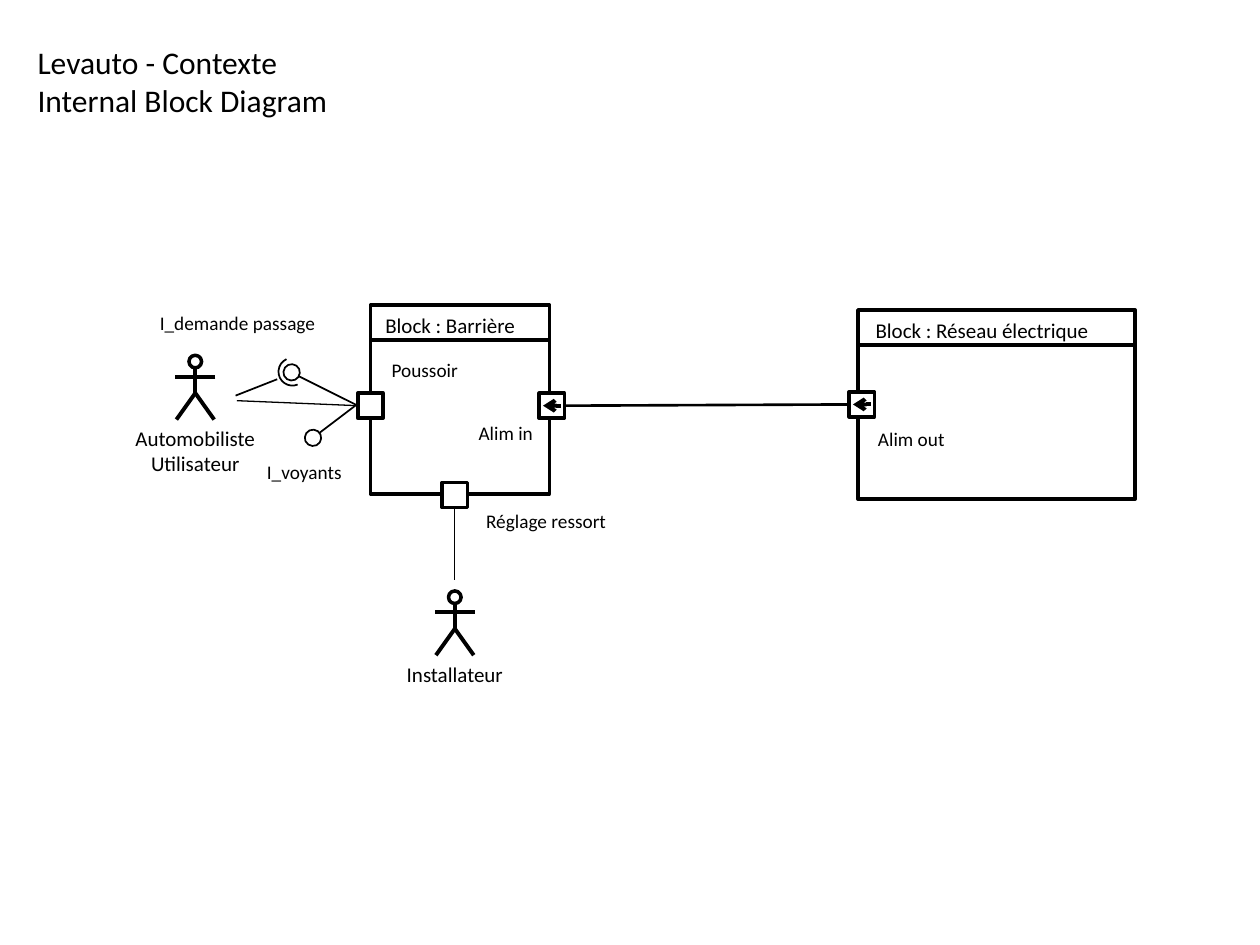
import pptx
import pptx.dml.color
import pptx.enum.shapes
import pptx.enum.text
import pptx.oxml
import pptx.oxml.ns
import pptx.util

Inches = pptx.util.Inches
Pt = pptx.util.Pt
Kind = pptx.enum.shapes.MSO_SHAPE
Align = pptx.enum.text.PP_ALIGN


def colour(value):
    """Turn a hex string into a colour."""
    return pptx.dml.color.RGBColor.from_string(value)


class Diagram:
    """Draws the parts of an internal block diagram on one slide."""

    font = "Calibri"
    ink = "000000"
    paper = "FFFFFF"

    def __init__(self, slide):
        """Keep the slide to draw on."""
        self.shapes = slide.shapes

    def shape(self, kind, left, top, width, height, weight=2, fill=None):
        """Add an outlined preset shape."""
        outline = self.shapes.add_shape(
            kind, Inches(left), Inches(top), Inches(width), Inches(height))
        outline.shadow.inherit = False
        if fill:
            outline.fill.solid()
            outline.fill.fore_color.rgb = colour(fill)
        else:
            outline.fill.background()
        outline.line.color.rgb = colour(self.ink)
        outline.line.width = Pt(weight)
        return outline

    def arc(self, left, top, size, angles, rotation, flip, fill=None):
        """Add a rotated and mirrored arc."""
        curve = self.shape(Kind.ARC, left, top, size, size, 1, fill)
        curve.adjustments[0], curve.adjustments[1] = angles
        curve.rotation = rotation
        curve._element.spPr.xfrm.set(flip, "1")

    def line(self, start, end, weight, arrow=False):
        """Add a straight line, with an arrowhead at its end if asked."""
        link = self.shapes.add_connector(
            pptx.enum.shapes.MSO_CONNECTOR.STRAIGHT,
            *(Inches(value) for value in (*start, *end)))
        link.line.color.rgb = colour(self.ink)
        link.line.width = Pt(weight)
        if arrow:
            head = pptx.oxml.parse_xml(
                f'<a:tailEnd {pptx.oxml.ns.nsdecls("a")} type="arrow"/>')
            link.line._get_or_add_ln().append(head)
        link._element.spPr.append(pptx.oxml.parse_xml(
            f'<a:effectLst {pptx.oxml.ns.nsdecls("a")}/>'))

    def text(self, left, top, width, height, lines, size=11, align=Align.LEFT):
        """Add unwrapped text, one paragraph a line."""
        box = self.shapes.add_textbox(
            Inches(left), Inches(top), Inches(width), Inches(height))
        frame = box.text_frame
        frame.word_wrap = False
        frame.auto_size = pptx.enum.text.MSO_AUTO_SIZE.SHAPE_TO_FIT_TEXT
        for index, words in enumerate(lines):
            paragraph = frame.add_paragraph() if index else frame.paragraphs[0]
            paragraph.alignment = align
            run = paragraph.add_run()
            run.text = words
            run.font.name = self.font
            run.font.size = Pt(size)
            run.font.color.rgb = colour(self.ink)

    def actor(self, x, top, width, lines):
        """Add a stick figure centred on x with its name below."""
        self.shape(Kind.OVAL, x - 0.05, top, 0.1, 0.1)
        hip = (x, top + 0.3)
        self.line((x, top + 0.1), hip, 2.25)
        for side in (0.15, -0.15):
            self.line(hip, (x + side, top + 0.51), 2.25)
        self.line((x + 0.16, top + 0.17), (x - 0.16, top + 0.17), 2.25)
        self.text(x - width / 2, top + 0.51, width, 0.1 + 0.2 * len(lines),
                  lines, 12, Align.CENTER)

    def block(self, left, top, width, title, title_left, title_width):
        """Add a block with a title band."""
        band = 0.28
        self.shape(Kind.RECTANGLE, left, top + band, width, 1.22)
        self.shape(Kind.RECTANGLE, left, top, width, band)
        self.text(title_left, top + 0.01, title_width, 0.3, [title], 12)

    def port(self, left, top, flow=False):
        """Add a port, with a flow arrow to the left if asked."""
        self.shape(Kind.RECTANGLE, left, top, 0.2, 0.2, fill=self.paper)
        if flow:
            middle = top + 0.1
            self.line((left + 0.17, middle), (left + 0.03, middle), 2.25, True)


deck = pptx.Presentation()
deck.slide_width, deck.slide_height = Inches(10), Inches(7.5)
diagram = Diagram(deck.slides.add_slide(deck.slide_layouts[6]))

diagram.text(0.2, 0.29, 2.53, 0.71,
             ["Levauto - Contexte", "Internal Block Diagram"], 18)
diagram.actor(1.55, 2.82, 1.16, ["Automobiliste", "Utilisateur"])
diagram.actor(3.61, 4.69, 0.97, ["Installateur"])
diagram.block(6.81, 2.46, 2.2, "Block : Réseau électrique", 6.85, 1.91)
diagram.block(2.94, 2.42, 1.42, "Block : Barrière", 2.96, 1.24)

for left, top, flow in [(6.74, 3.11, True), (4.28, 3.12, True),
                        (2.84, 3.12, False), (3.51, 3.83, False)]:
    diagram.port(left, top, flow)

for left, top, width, label in [
        (6.87, 3.34, 0.73, "Alim out"),
        (3.7, 3.29, 0.63, "Alim in"),
        (3.76, 3.99, 1.16, "Réglage ressort"),
        (1.17, 2.42, 1.44, "I_demande passage"),
        (3.01, 2.79, 0.73, "Poussoir"),
        (2.02, 3.6, 0.8, "I_voyants")]:
    diagram.text(left, top, width, 0.29, [label])

user_port = (2.84, 3.22)
for start, end, weight in [
        ((6.74, 3.21), (4.48, 3.22), 1.5),
        ((3.61, 4.03), (3.61, 4.6), 0.75),
        ((2.53, 3.44), (2.82, 3.22), 1),
        ((2.32, 2.96), user_port, 1),
        ((1.88, 3.18), user_port, 0.75),
        ((2.2, 3.01), (1.87, 3.14), 1)]:
    diagram.line(start, end, weight)

for left, top in [(2.25, 2.89), (2.42, 3.41)]:
    diagram.arc(left, top, 0.13, (53.1, 52.42), 65, "flipH", Diagram.paper)
diagram.arc(2.21, 2.84, 0.22, (162, 52.42), 155, "flipV")

deck.save("out.pptx")
